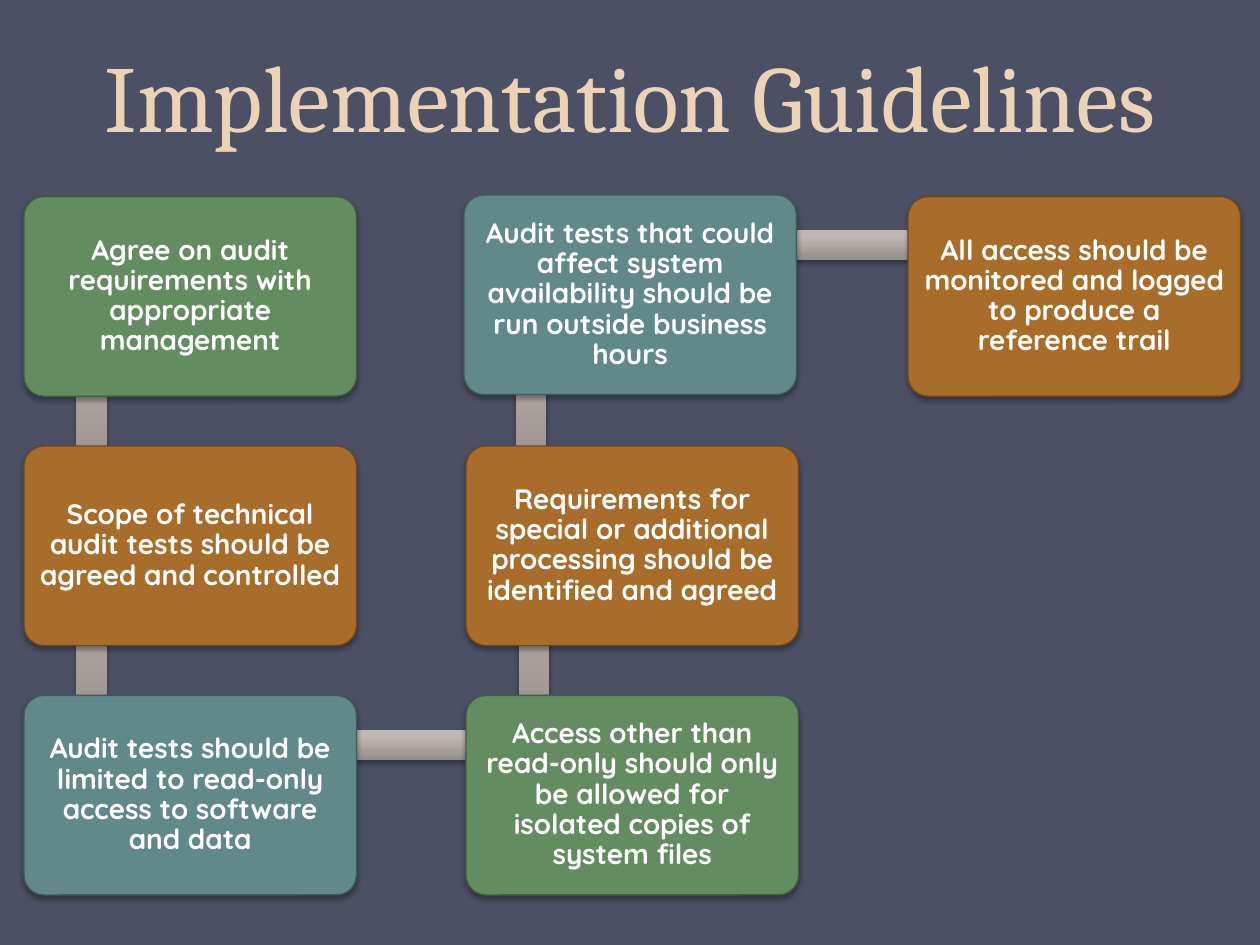
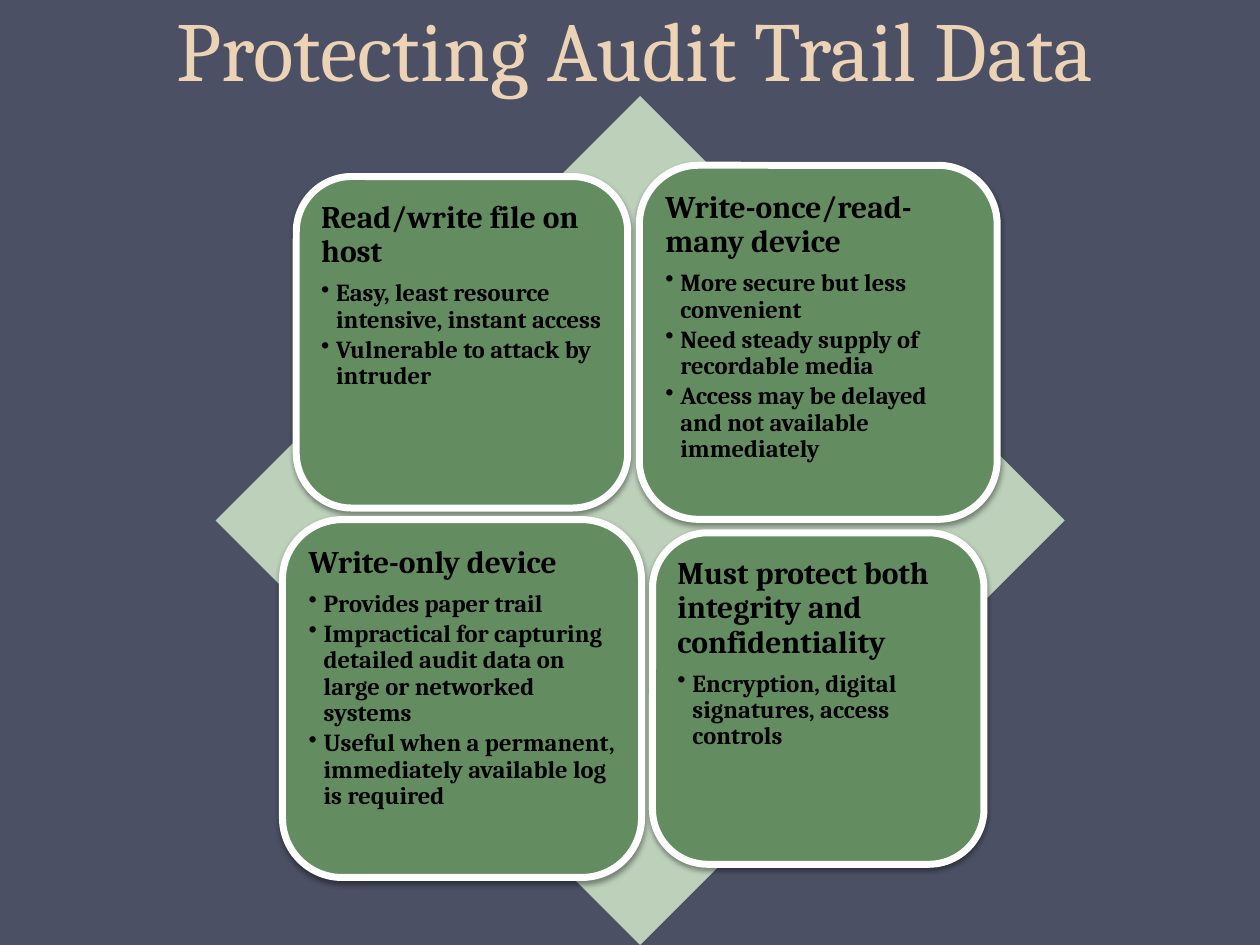
from lxml.etree import SubElement
from pptx import Presentation
from pptx.dml.color import RGBColor
from pptx.enum.shapes import MSO_SHAPE as Preset
from pptx.enum.text import MSO_ANCHOR as Anchor, PP_ALIGN as Align
from pptx.oxml.ns import qn
from pptx.util import Pt

BACKGROUND, TITLE_COLOR = "4B5064", "EDD3B6"
WHITE, BLACK, DIAMOND_GREEN = "FFFFFF", "000000", "BCD0BA"
BAR_DARK, BAR_LIGHT = "948E8B", "C0B8B4"
GREEN, ORANGE, TEAL = ("648C61", "435E40"), ("A96D2B", "71481C"), ("61898A", "415B5C")
SERIF, SANS = "Cambria", "Quicksand"

# Steps in reading order: column, row, (fill, line), text
STEPS = [
    (0, 0, GREEN, "Agree on audit requirements with appropriate management"),
    (0, 1, ORANGE, "Scope of technical audit tests should be agreed and controlled"),
    (0, 2, TEAL, "Audit tests should be limited to read-only access to software and data"),
    (1, 2, GREEN, "Access other than read-only should only be allowed for isolated copies "
                  "of system files"),
    (1, 1, ORANGE, "Requirements for special or additional processing should be identified "
                   "and agreed"),
    (1, 0, TEAL, "Audit tests that could affect system availability should be run outside "
                 "business hours"),
    (2, 0, ORANGE, "All access should be monitored and logged to produce a reference trail"),
]
NUDGES = {(1, 0): (-1.2, -0.9)}
STEP_LEFT, STEP_TOP = 13.7, 112.4
STEP_WIDTH, STEP_HEIGHT = 190, 114
STEP_PITCH_X, STEP_PITCH_Y = 252.6, 142.5
BAR_X, BAR_Y, BAR_THICKNESS = 38.6, 28.4, 17.2

# Devices: side (x, y) of the diamond's centre, width, height, heading, bullets
DEVICES = [
    (-1, -1, 189.4, 189.4, "Read/write file on host", [
        "Easy, least resource intensive, instant access",
        "Vulnerable to attack by intruder"]),
    (1, -1, 204.5, 202.3, "Write-once/read-many device", [
        "More secure but less convenient",
        "Need steady supply of recordable media",
        "Access may be delayed and not available immediately"]),
    (-1, 1, 205.2, 204.5, "Write-only device", [
        "Provides paper trail",
        "Impractical for capturing detailed audit data on large or networked systems",
        "Useful when a permanent, immediately available log is required"]),
    (1, 1, 189.4, 189.4, "Must protect both integrity and confidentiality", [
        "Encryption, digital signatures, access controls"]),
]
CENTER_X, CENTER_Y, DIAMOND_SIZE = 365.8, 297.4, 485.2
DEVICE_OFFSET = 101.8
BULLET_INDENT = 8.6


def rgb(color):
    return RGBColor.from_string(color)


def add_span(para, text, size, font, color, bold=True):
    span = para.add_run()
    span.text = text
    span.font.size, span.font.name, span.font.bold = Pt(size), font, bold
    span.font.color.rgb = rgb(color)


def add_page(deck, title, size, left, top, height):
    page = deck.slides.add_slide(deck.slide_layouts[6])
    page.background.fill.solid()
    page.background.fill.fore_color.rgb = rgb(BACKGROUND)
    box = page.shapes.add_textbox(Pt(left), Pt(top), deck.slide_width, Pt(height))
    box.text_frame.word_wrap = True
    box.text_frame.vertical_anchor = Anchor.BOTTOM
    para = box.text_frame.paragraphs[0]
    para.alignment, para.line_spacing = Align.CENTER, Pt(58)
    add_span(para, title, size, SERIF, TITLE_COLOR, bold=False)
    return page


def add_plain(page, preset, left, top, width, height, fill=None):
    """Add a shape without shadow or line."""
    shape = page.shapes.add_shape(preset, Pt(left), Pt(top), Pt(width), Pt(height))
    shape.shadow.inherit = False
    shape.line.fill.background()
    if fill:
        shape.fill.solid()
        shape.fill.fore_color.rgb = rgb(fill)
    return shape


def drop_shadow(shape, opacity, distance):
    effects = shape.element.spPr.find(qn("a:effectLst"))
    shadow = SubElement(effects, qn("a:outerShdw"), blurRad=str(Pt(3.1)),
                        dist=str(Pt(distance)), dir="5400000", rotWithShape="0")
    color = SubElement(shadow, qn("a:srgbClr"), val=BLACK)
    SubElement(color, qn("a:alpha"), val=str(opacity * 1000))


def add_card(page, left, top, width, height, fill, line, line_width, anchor):
    card = add_plain(page, Preset.ROUNDED_RECTANGLE, left, top, width, height, fill)
    card.line.color.rgb = rgb(line)
    card.line.width = Pt(line_width)
    frame = card.text_frame
    frame.word_wrap, frame.vertical_anchor = True, anchor
    frame.margin_left = frame.margin_right = Pt(5)
    frame.margin_top = frame.margin_bottom = Pt(5)
    return card


def add_bar(page, start, end):
    """Join two cards with a graded bar running behind them."""
    (x1, y1), (x2, y2) = start, end
    vertical = abs(y2 - y1) > abs(x2 - x1)
    left, top = min(x1, x2) + BAR_X, min(y1, y2) + BAR_Y
    if vertical:
        place = (left - BAR_THICKNESS / 2, top, BAR_THICKNESS, abs(y2 - y1))
    else:
        place = (left, top - BAR_THICKNESS / 2, abs(x2 - x1), BAR_THICKNESS)
    bar = add_plain(page, Preset.RECTANGLE, *place)
    bar.fill.gradient()
    bar.fill.gradient_angle = 90
    for stop, position, color in zip(bar.fill.gradient_stops, (0, 0.8), (BAR_DARK, BAR_LIGHT)):
        stop.position, stop.color.rgb = position, rgb(color)
    drop_shadow(bar, 35, 1.8)


def step_corner(column, row):
    shift_x, shift_y = NUDGES.get((column, row), (0, 0))
    return (STEP_LEFT + column * STEP_PITCH_X + shift_x,
            STEP_TOP + row * STEP_PITCH_Y + shift_y)


def add_guidelines(deck):
    page = add_page(deck, "Implementation Guidelines", 54, 0, 0, 90)
    corners = [step_corner(column, row) for column, row, *_ in STEPS]
    for start, end in zip(corners, corners[1:]):
        add_bar(page, start, end)
    for corner, (_, _, (fill, line), text) in zip(corners, STEPS):
        card = add_card(page, *corner, STEP_WIDTH, STEP_HEIGHT, fill, line, 0.75, Anchor.MIDDLE)
        card.adjustments[0] = 0.1
        drop_shadow(card, 35, 1.8)
        para = card.text_frame.paragraphs[0]
        para.alignment, para.line_spacing = Align.CENTER, 0.9
        add_span(para, text, 16, SANS, WHITE)


def add_bullet(para):
    props = para._p.get_or_add_pPr()
    props.set("marL", str(Pt(BULLET_INDENT)))
    props.set("indent", str(-Pt(BULLET_INDENT)))
    SubElement(props, qn("a:buChar"), char="•")


def add_devices(deck):
    page = add_page(deck, "Protecting Audit Trail Data", 48, 3, -13.7, 73.4)
    add_plain(page, Preset.DIAMOND, CENTER_X - DIAMOND_SIZE / 2, CENTER_Y - DIAMOND_SIZE / 2,
              DIAMOND_SIZE, DIAMOND_SIZE, DIAMOND_GREEN)
    for side_x, side_y, width, height, heading, bullets in DEVICES:
        left = CENTER_X + side_x * DEVICE_OFFSET - width / 2
        top = CENTER_Y + side_y * DEVICE_OFFSET - height / 2
        card = add_card(page, left, top, width, height, GREEN[0], WHITE, 4, Anchor.TOP)
        drop_shadow(card, 38, 1.6)
        frame = card.text_frame
        for index, text in enumerate([heading, *bullets]):
            para = frame.add_paragraph() if index else frame.paragraphs[0]
            if index:
                add_bullet(para)
            para.alignment, para.line_spacing = Align.LEFT, 0.9
            para.space_after = Pt(2.1 if index else 6.3)
            add_span(para, text, 14 if index else 18, SERIF, BLACK)


def main():
    deck = Presentation()
    deck.slide_width, deck.slide_height = Pt(720), Pt(540)
    add_guidelines(deck)
    add_devices(deck)
    deck.save("out.pptx")


if __name__ == "__main__":
    main()
